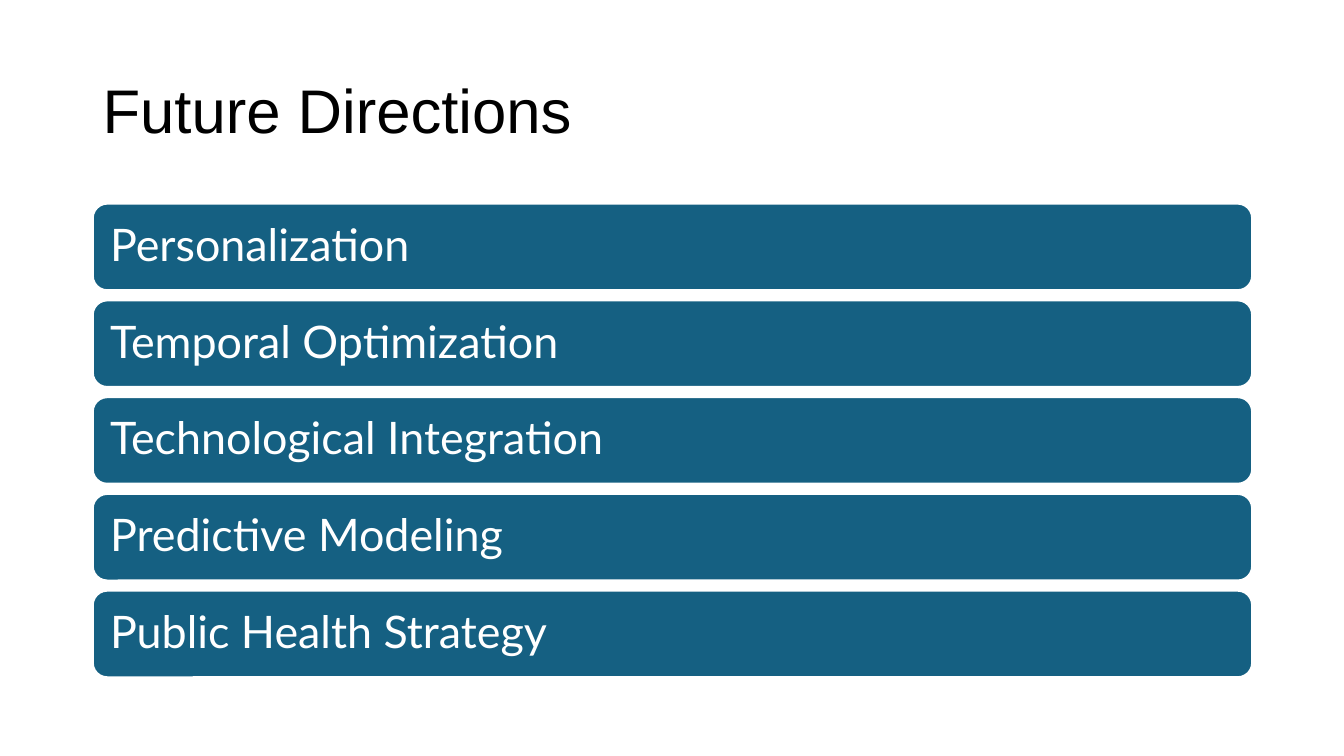
from dataclasses import dataclass

from pptx import Presentation
from pptx.dml.color import RGBColor
from pptx.enum.shapes import MSO_SHAPE
from pptx.enum.text import MSO_ANCHOR, PP_ALIGN
from pptx.util import Inches, Pt

ROUNDED = MSO_SHAPE.ROUNDED_RECTANGLE
MIDDLE = MSO_ANCHOR.MIDDLE
LEFT = PP_ALIGN.LEFT


@dataclass(frozen=True)
class Theme:
    title_font: str = "Arial"
    body_font: str = "Lato"
    title_size: int = 44
    body_size: int = 32
    ink: RGBColor = RGBColor(0x00, 0x00, 0x00)
    paper: RGBColor = RGBColor(0xFF, 0xFF, 0xFF)
    bar: RGBColor = RGBColor(0x15, 0x60, 0x82)
    outline: float = 1.5
    line_spacing: float = 0.9
    bar_inset: float = 0.13


class SlideBuilder:
    def __init__(self, slide, theme):
        self.slide = slide
        self.theme = theme

    def set_text(self, shape, text, font, size, color):
        frame = shape.text_frame
        frame.text = text
        frame.word_wrap = True
        frame.vertical_anchor = MIDDLE
        para = frame.paragraphs[0]
        para.alignment = LEFT
        para.line_spacing = self.theme.line_spacing
        span = para.runs[0]
        span.font.name = font
        span.font.size = Pt(size)
        span.font.color.rgb = color

    def title(self, text, left, top, width, height):
        box = self.slide.shapes.add_textbox(
            Inches(left), Inches(top), Inches(width), Inches(height))
        theme = self.theme
        self.set_text(box, text, theme.title_font, theme.title_size, theme.ink)

    def bar(self, text, left, top, width, height):
        theme = self.theme
        bar = self.slide.shapes.add_shape(
            ROUNDED, Inches(left), Inches(top), Inches(width), Inches(height))
        bar.shadow.inherit = False
        bar.fill.solid()
        bar.fill.fore_color.rgb = theme.bar
        bar.line.color.rgb = theme.paper
        bar.line.width = Pt(theme.outline)
        frame = bar.text_frame
        frame.margin_left = frame.margin_right = Inches(theme.bar_inset)
        frame.margin_top = frame.margin_bottom = Inches(theme.bar_inset)
        self.set_text(bar, text, theme.body_font, theme.body_size, theme.paper)


def main():
    deck = Presentation()
    deck.slide_width = Inches(13.33)
    deck.slide_height = Inches(7.5)
    page = SlideBuilder(deck.slides.add_slide(deck.slide_layouts[6]), Theme())

    left, width = 0.92, 11.5
    page.title("Future Directions", left, 0.4, width, 1.45)

    directions = [
        "Personalization",
        "Temporal Optimization",
        "Technological Integration",
        "Predictive Modeling",
        "Public Health Strategy",
    ]
    first_top, bar_height, gap = 2.02, 0.86, 0.1
    for index, direction in enumerate(directions):
        top = first_top + index * (bar_height + gap)
        page.bar(direction, left, top, width, bar_height)

    deck.save("out.pptx")


if __name__ == "__main__":
    main()
